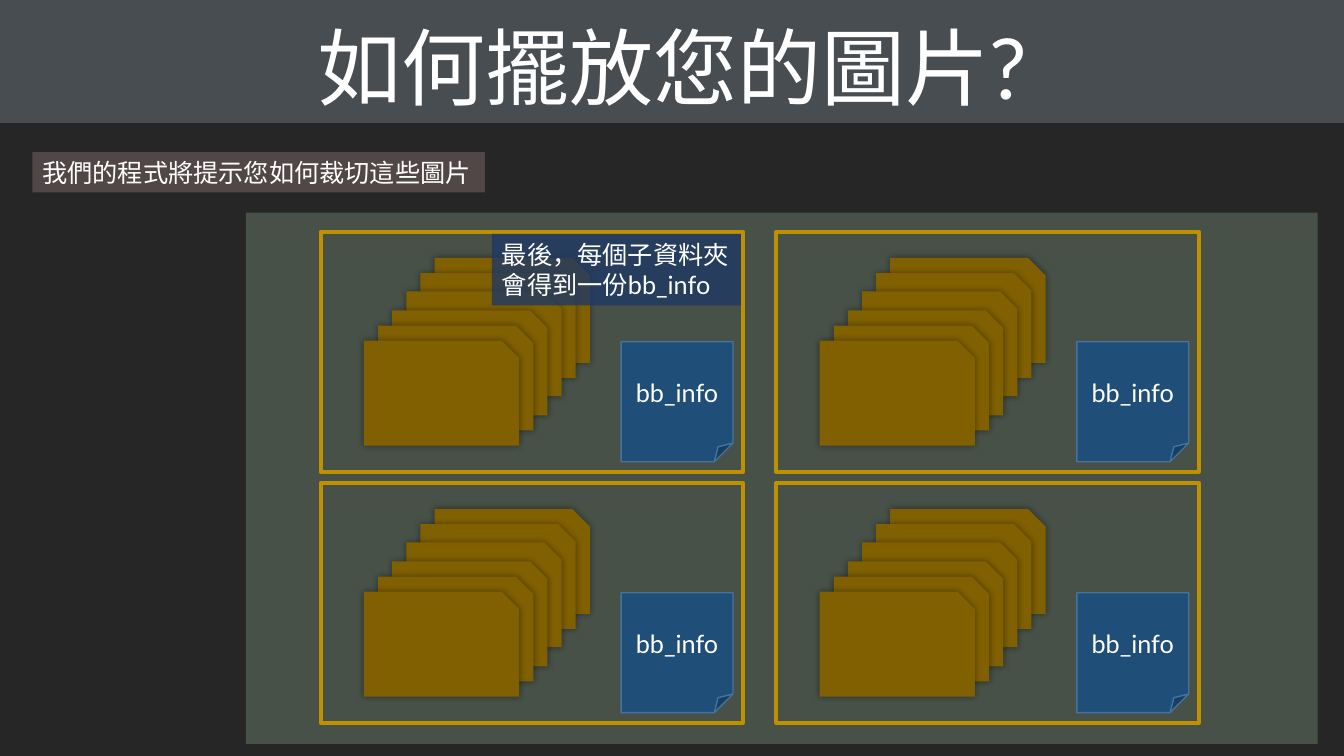
from lxml import etree
from pptx import Presentation
from pptx import util as u
from pptx.dml.color import RGBColor
from pptx.enum import shapes, text
from pptx.oxml.ns import qn

# Content
TITLE = ["如何擺放您的圖片?"]
HINT = ["我們的程式將提示您如何裁切這些圖片"]
RESULT = ["最後，每個子資料夾", "會得到一份bb_info"]
NOTE = ["bb_info"]

FONT = "Lato"
COLORS = {
    "background": "262626", "panel": "CCFFCC", "title": "CCECFF",
    "hint": "FFCCCC", "result": "203864", "frame": "BF9000",
    "card": "806000", "note": "1F4E79", "note_line": "43739E",
    "text": "FFFFFF", "shadow": "000000",
}

# Layout in inches: left, top, width, height
PANEL_AT = (2.44, 2.11, 10.63, 5.27)
TITLE_AT = (0, 0, 13.33, 1.22)
HINT_AT = (0.32, 1.51, 4.49, 0.4)
RESULT_AT = (4.88, 2.32, 2.47, 0.71)
FRAME_AT = (3.18, 2.3, 4.19, 2.38)
COLUMN_STEP, ROW_STEP = 4.52, 2.49

# Offsets inside a folder frame
CARD_SIZE = (1.54, 1.04)
CARD_LEFT, CARD_STEP = 1.13, 0.14
CARD_TOPS = [0.26, 0.41, 0.59, 0.78, 0.93, 1.08]
NOTE_OFFSET = (2.98, 1.09)
NOTE_SIZE = (1.11, 1.19)

KIND = shapes.MSO_SHAPE
ALIGN = text.PP_ALIGN
ANCHOR = text.MSO_ANCHOR


def color(name):
    return RGBColor.from_string(COLORS[name])


def paint(shape, fill=None, alpha=None):
    if fill is None:
        shape.fill.background()
        return
    shape.fill.solid()
    shape.fill.fore_color.rgb = color(fill)
    if alpha is not None:
        tint = shape.fill._xPr.find(qn("a:solidFill"))[0]
        etree.SubElement(tint, qn("a:alpha"), val=str(alpha * 1000))


def add_box(parent, kind, at, fill=None, alpha=None, line=None, width=1):
    box = parent.add_shape(kind, *map(u.Inches, at))
    box.shadow.inherit = False
    paint(box, fill, alpha)
    if line:
        box.line.color.rgb = color(line)
        box.line.width = u.Pt(width)
    else:
        box.line.fill.background()
    return box


def write(box, lines, size, align, anchor, spacing=None):
    frame = box.text_frame
    frame.vertical_anchor = anchor
    for index, line in enumerate(lines):
        para = frame.add_paragraph() if index else frame.paragraphs[0]
        para.alignment = align
        if spacing:
            para.line_spacing = spacing
        span = para.add_run()
        span.text = line
        span.font.name = FONT
        span.font.size = u.Pt(size)
        span.font.color.rgb = color("text")


def add_label(page, at, lines, fill, alpha):
    label = page.shapes.add_textbox(*map(u.Inches, at))
    paint(label, fill, alpha)
    label.text_frame.word_wrap = False
    label.text_frame.auto_size = text.MSO_AUTO_SIZE.SHAPE_TO_FIT_TEXT
    write(label, lines, 18, ALIGN.LEFT, ANCHOR.TOP)


def add_glow(shape):
    effects = shape._element.spPr.find(qn("a:effectLst"))
    shadow = etree.SubElement(effects, qn("a:outerShdw"),
                              blurRad=str(u.Pt(5)), dist="0", dir="0")
    tint = etree.SubElement(shadow, qn("a:srgbClr"), val=COLORS["shadow"])
    etree.SubElement(tint, qn("a:alpha"), val="40000")


def add_folder(page, left, top):
    folder = page.shapes.add_group_shape().shapes
    add_box(folder, KIND.RECTANGLE, (left, top, *FRAME_AT[2:]),
            line="frame", width=3)
    for index, offset in enumerate(CARD_TOPS):
        card_left = left + CARD_LEFT - index * CARD_STEP
        card = add_box(folder, KIND.SNIP_1_RECTANGLE,
                       (card_left, top + offset, *CARD_SIZE), "card")
        add_glow(card)
    note = add_box(folder, KIND.FOLDED_CORNER,
                   (left + NOTE_OFFSET[0], top + NOTE_OFFSET[1], *NOTE_SIZE),
                   "note", line="note_line")
    write(note, NOTE, 18, ALIGN.CENTER, ANCHOR.MIDDLE)


def main():
    deck = Presentation()
    deck.slide_width, deck.slide_height = u.Inches(13.33), u.Inches(7.5)
    page = deck.slides.add_slide(deck.slide_layouts[6])
    page.background.fill.solid()
    page.background.fill.fore_color.rgb = color("background")

    # Panel, title and hint
    add_box(page.shapes, KIND.RECTANGLE, PANEL_AT, "panel", 20)
    title = add_box(page.shapes, KIND.RECTANGLE, TITLE_AT, "title", 20)
    write(title, TITLE, 60, ALIGN.CENTER, ANCHOR.BOTTOM, 0.9)
    add_label(page, HINT_AT, HINT, "hint", 20)

    # Two by two grid of folders
    for row in range(2):
        for column in range(2):
            add_folder(page, FRAME_AT[0] + column * COLUMN_STEP,
                       FRAME_AT[1] + row * ROW_STEP)

    # Result label over the first folder
    add_label(page, RESULT_AT, RESULT, "result", 80)
    deck.save("out.pptx")


if __name__ == "__main__":
    main()
